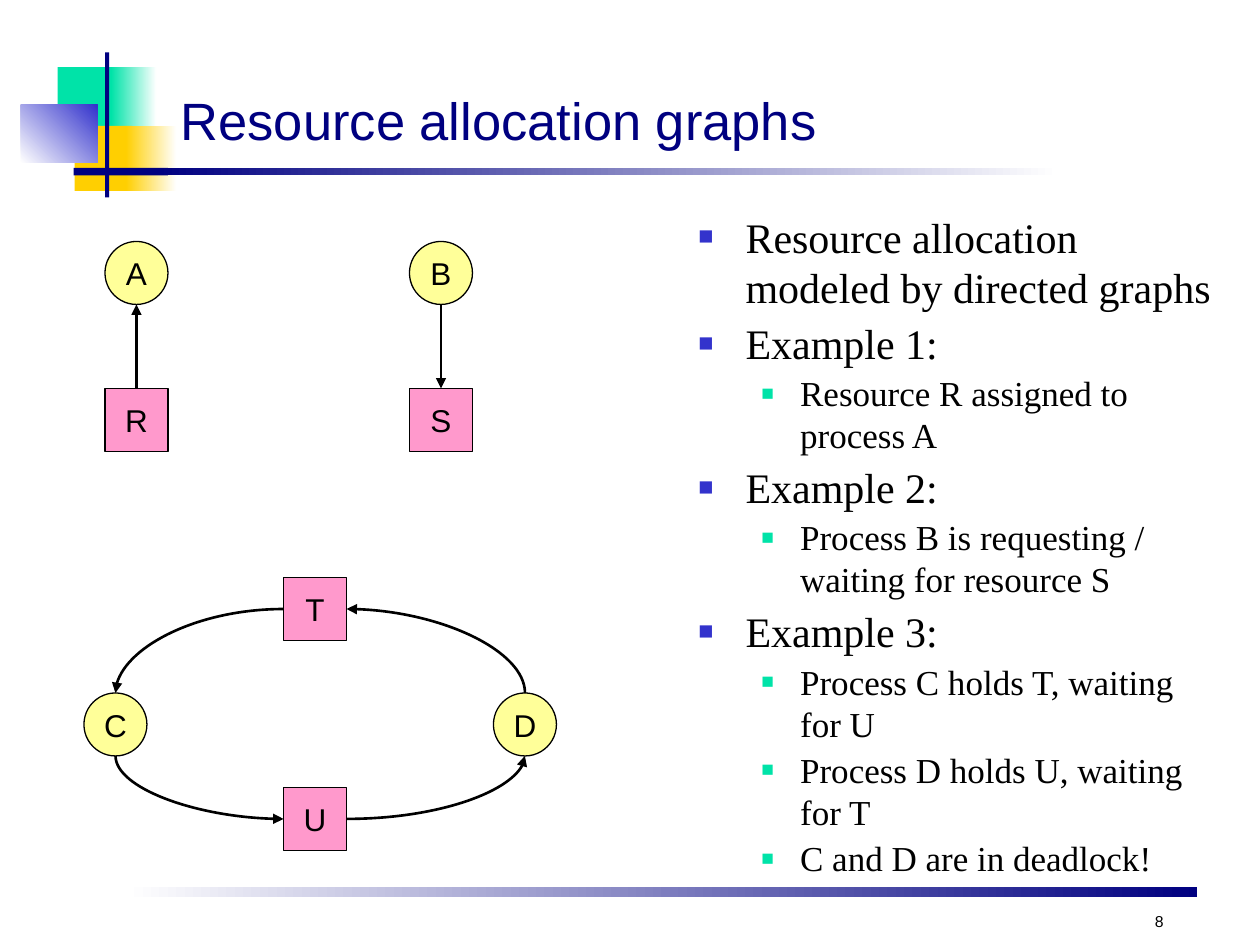
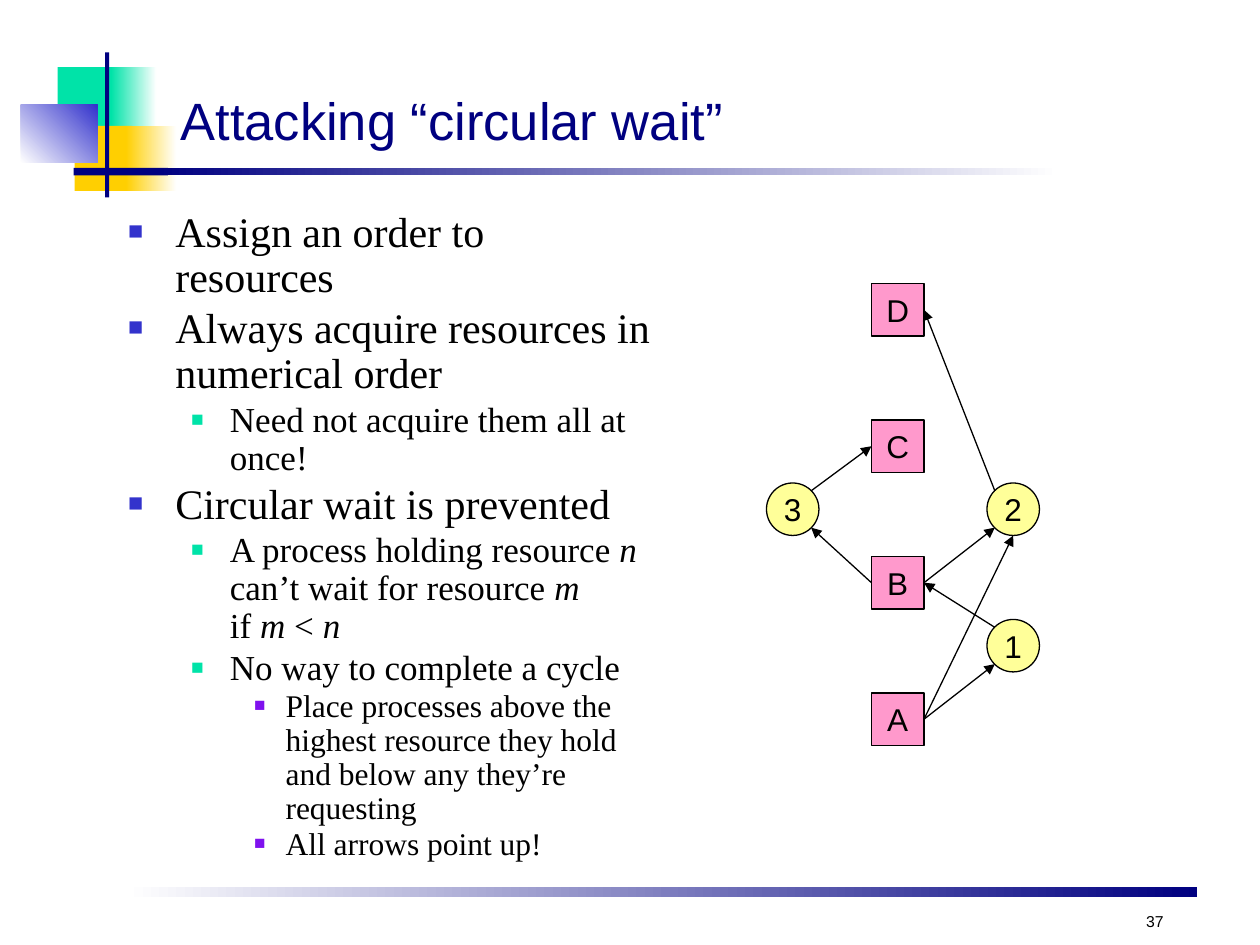
from lxml import etree
from pptx import Presentation
from pptx.dml.color import RGBColor
from pptx.enum.shapes import MSO_CONNECTOR, MSO_SHAPE
from pptx.enum.text import MSO_ANCHOR, MSO_AUTO_SIZE, PP_ALIGN
from pptx.oxml.ns import qn
from pptx.util import Emu, Pt

RECT, OVAL = MSO_SHAPE.RECTANGLE, MSO_SHAPE.OVAL
STRAIGHT, CURVE = MSO_CONNECTOR.STRAIGHT, MSO_CONNECTOR.CURVE
LEFT, CENTER, RIGHT = PP_ALIGN.LEFT, PP_ALIGN.CENTER, PP_ALIGN.RIGHT
TOP, MIDDLE, BOTTOM = MSO_ANCHOR.TOP, MSO_ANCHOR.MIDDLE, MSO_ANCHOR.BOTTOM
NO_AUTOFIT = MSO_AUTO_SIZE.NONE

SCALE = 7620  # EMU per px, 120 px to the inch
SANS, SERIF = "Arial", "Times New Roman"
NAVY, BLUE, GREEN, GOLD, PURPLE = "000080", "3333CC", "00E3A8", "FFCF01", "7F11EE"
BLACK, WHITE, PINK, YELLOW = "000000", "FFFFFF", "FF99CC", "FFFF99"

# left, top, width, height, colours (two make a gradient), angle
FRAME = [
    (120, 845, 1020, 9, (WHITE, NAVY), 0),
    (55, 64, 58, 62, (GREEN,), 0),
    (106, 64, 43, 62, (GREEN, WHITE), 0),
    (71, 120, 55, 62, (GOLD,), 0),
    (120, 120, 48, 62, (GOLD, WHITE), 0),
    (20, 100, 73, 55, (WHITE, BLUE), 45),
    (100, 50, 4, 138, (NAVY,), 0),
    (70, 160, 90, 7, (NAVY,), 0),
    (150, 160, 859, 7, (NAVY, WHITE), 0),
]

# size pt, space before pt, left margin px, hanging px, bullet colour
LEVELS = [(24, 3, 45, 45, BLUE), (20, 2.5, 97, 37, GREEN), (18, 1.1, 150, 30, PURPLE)]

# Connection sites in preset order, and where they lie on the bounding box
RECT_SITES = ["top", "left", "bottom", "right"]
OVAL_SITES = ["top", "top left", "left", "bottom left",
              "bottom", "bottom right", "right", "top right"]
NEAR, FAR = 0.15, 0.85
SITE_AT = {
    "top": (0.5, 0), "left": (0, 0.5), "bottom": (0.5, 1), "right": (1, 0.5),
    "top left": (NEAR, NEAR), "bottom left": (NEAR, FAR),
    "bottom right": (FAR, FAR), "top right": (FAR, NEAR),
}


def px(n):
    return Emu(round(n * SCALE))


def rgb(color):
    return RGBColor.from_string(color)


def sub(parent, tag, **attrs):
    return etree.SubElement(parent, qn(tag), attrs)


def site_point(sp, side):
    fx, fy = SITE_AT[side]
    return sp.left + sp.width * fx, sp.top + sp.height * fy


def site_index(sp, side):
    sites = OVAL_SITES if sp.auto_shape_type == OVAL else RECT_SITES
    return str(sites.index(side))


class Deck:
    def __init__(self):
        self.prs = Presentation()
        self.prs.slide_width, self.prs.slide_height = px(1200), px(900)
        self.s = None

    def slide(self, title, number):
        self.s = self.prs.slides.add_slide(self.prs.slide_layouts[1])
        for band in FRAME:
            self.band(*band)
        tf = self.place(self.s.shapes.title, 160, 70, 1020, 80, BOTTOM)
        self.line(tf.paragraphs[0], title, 30, NAVY, LEFT)
        box = self.s.shapes.add_textbox(px(1070), px(860), px(50), px(32))
        tf = box.text_frame
        tf.word_wrap, tf.vertical_anchor = True, BOTTOM
        self.line(tf.paragraphs[0], number, 9, BLACK, RIGHT)

    def place(self, sp, x, y, w, h, anchor):
        """Move a placeholder and return its text frame."""
        sp.left, sp.top, sp.width, sp.height = map(px, (x, y, w, h))
        tf = sp.text_frame
        tf.word_wrap, tf.auto_size, tf.vertical_anchor = True, NO_AUTOFIT, anchor
        return tf

    def line(self, p, text, size, color, align):
        p.alignment = align
        self.run(p, text, size, color, SANS)

    def run(self, p, text, size, color, font, italic=False):
        r = p.add_run()
        r.text = text
        r.font.name, r.font.size, r.font.italic = font, Pt(size), italic
        r.font.color.rgb = rgb(color)

    def band(self, x, y, w, h, colors, angle):
        sp = self.s.shapes.add_shape(RECT, px(x), px(y), px(w), px(h))
        sp.shadow.inherit = False
        sp.line.fill.background()
        if len(colors) == 1:
            sp.fill.solid()
            sp.fill.fore_color.rgb = rgb(colors[0])
            return
        sp.fill.gradient()
        sp.fill.gradient_angle = angle
        for stop, color in zip(sp.fill.gradient_stops, colors):
            stop.color.rgb = rgb(color)

    def bullets(self, x, width, items, spacing=1.0):
        """Fill the body with (level, text); *stars* mark italics."""
        tf = self.place(self.s.placeholders[1], x, 190, width, 650, TOP)
        tf.margin_top = px(11)
        for i, (level, text) in enumerate(items):
            size, before, margin, hang, color = LEVELS[level]
            p = tf.add_paragraph() if i else tf.paragraphs[0]
            p.level = level
            pPr = p._p.get_or_add_pPr()
            pPr.set("marL", str(px(margin)))
            pPr.set("indent", str(-px(hang)))
            sub(sub(pPr, "a:buClr"), "a:srgbClr", val=color)
            sub(pPr, "a:buSzPct", val="60000")
            sub(pPr, "a:buChar", char="■")
            p.alignment, p.line_spacing = LEFT, spacing
            p.space_before = Pt(before if i else 0)
            for j, piece in enumerate(text.split("*")):
                for k, part in enumerate(piece.split("\n")):
                    if k:
                        p.add_line_break()
                    if part:
                        self.run(p, part, size, BLACK, SERIF, j % 2 == 1)

    def node(self, label, kind, color, x, y, size):
        sp = self.s.shapes.add_shape(kind, px(x), px(y), px(size), px(size))
        sp.shadow.inherit = False
        sp.fill.solid()
        sp.fill.fore_color.rgb = rgb(color)
        sp.line.color.rgb, sp.line.width = rgb(BLACK), Pt(0.75)
        tf = sp.text_frame
        tf.word_wrap, tf.vertical_anchor = False, MIDDLE
        self.line(tf.paragraphs[0], label, 18, BLACK, CENTER)
        return sp

    def resource(self, label, x, y, size):
        return self.node(label, RECT, PINK, x, y, size)

    def process(self, label, x, y, size):
        return self.node(label, OVAL, YELLOW, x, y, size)

    def arrow(self, src, src_side, dst, dst_side, width, kind=STRAIGHT):
        x1, y1 = site_point(src, src_side)
        x2, y2 = site_point(dst, dst_side)
        turned = kind == CURVE and src_side in ("top", "bottom")
        if turned:  # a quarter curve leaves sideways, so turn it about its centre
            cx, cy, dx, dy = (x1 + x2) / 2, (y1 + y2) / 2, x2 - x1, y2 - y1
            x1, y1 = cx + dy / 2, cy - dx / 2
            x2, y2 = cx - dy / 2, cy + dx / 2
        ends = [Emu(round(v)) for v in (x1, y1, x2, y2)]
        cn = self.s.shapes.add_connector(kind, *ends)
        cn.line.color.rgb, cn.line.width = rgb(BLACK), Pt(width)
        sub(cn.line._get_or_add_ln(), "a:tailEnd", type="triangle")
        spPr = cn._element.spPr
        sub(spPr, "a:effectLst")
        if kind == CURVE:
            spPr.find(qn("a:prstGeom")).set("prst", "curvedConnector2")
        if turned:
            spPr.find(qn("a:xfrm")).set("rot", str(270 * 60000))
        links = cn._element.find(".//" + qn("p:cNvCxnSpPr"))
        for tag, sp, side in (("a:stCxn", src, src_side), ("a:endCxn", dst, dst_side)):
            sub(links, tag, id=str(sp.shape_id), idx=site_index(sp, side))


def allocation_graphs(d):
    d.slide("Resource allocation graphs", "8")
    d.bullets(653, 523, [
        (0, "Resource allocation modeled by directed graphs"),
        (0, "Example 1:"),
        (1, "Resource R assigned to process A"),
        (0, "Example 2:"),
        (1, "Process B is requesting / waiting for resource S"),
        (0, "Example 3:"),
        (1, "Process C holds T, waiting for U"),
        (1, "Process D holds U, waiting for T"),
        (1, "C and D are in deadlock!"),
    ])
    size, width = 60, 1.5
    r, a = d.resource("R", 100, 370, size), d.process("A", 100, 230, size)
    d.arrow(r, "top", a, "bottom", width)
    res, b = d.resource("S", 390, 370, size), d.process("B", 390, 230, size)
    d.arrow(b, "bottom", res, "top", width)
    u, t = d.resource("U", 270, 750, size), d.resource("T", 270, 550, size)
    dd, c = d.process("D", 470, 660, size), d.process("C", 80, 660, size)
    for src, src_side, dst, dst_side in [
        (t, "left", c, "top"),
        (dd, "top", t, "right"),
        (u, "right", dd, "bottom"),
        (c, "bottom", u, "left"),
    ]:
        d.arrow(src, src_side, dst, dst_side, width, CURVE)


def circular_wait(d):
    d.slide("Attacking “circular wait”", "37")
    d.bullets(110, 522, [
        (0, "Assign an order to resources"),
        (0, "Always acquire resources in numerical order"),
        (1, "Need not acquire them all at once!"),
        (0, "Circular wait is prevented"),
        (1, "A process holding resource *n* can’t wait for resource *m*\nif *m* < *n*"),
        (1, "No way to complete a cycle"),
        (2, "Place processes above the highest resource they hold "
            "and below any they’re requesting"),
        (2, "All arrows point up!"),
    ], spacing=0.9)
    size, step = 50, 130
    nodes = {name: d.resource(name, 830, 660 - step * i, size)
             for i, name in enumerate("ABCD")}
    for name, x, y in [("1", 940, 590), ("2", 940, 460), ("3", 730, 460)]:
        nodes[name] = d.process(name, x, y, size)
    for src, src_side, dst, dst_side in [
        ("A", "right", "1", "bottom left"),
        ("1", "top left", "B", "right"),
        ("A", "right", "2", "bottom"),
        ("B", "right", "2", "bottom left"),
        ("2", "top left", "D", "right"),
        ("3", "top right", "C", "left"),
        ("B", "left", "3", "bottom right"),
    ]:
        d.arrow(nodes[src], src_side, nodes[dst], dst_side, 0.75)


def main():
    d = Deck()
    allocation_graphs(d)
    circular_wait(d)
    d.prs.save("out.pptx")


if __name__ == "__main__":
    main()
